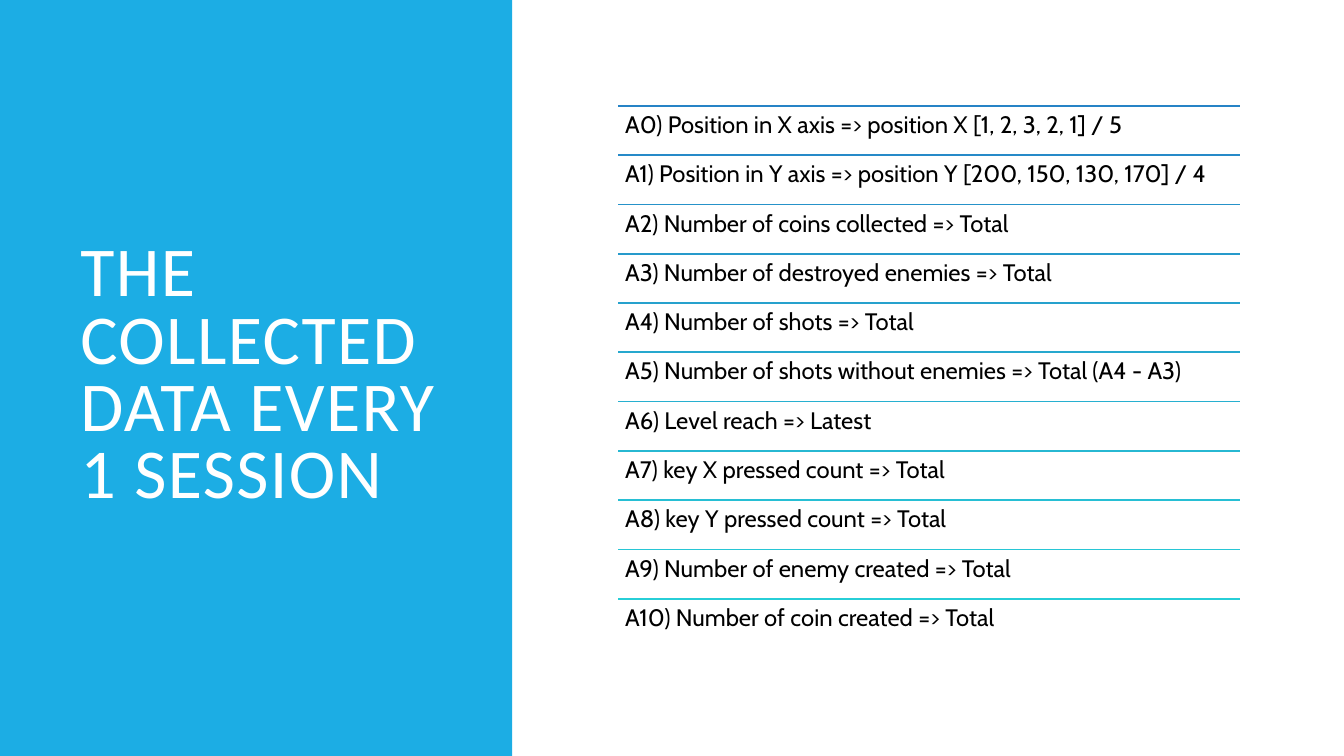
from dataclasses import dataclass

from lxml import etree
from pptx import Presentation
from pptx.dml.color import RGBColor
from pptx.enum.shapes import MSO_CONNECTOR, MSO_SHAPE
from pptx.enum.text import MSO_ANCHOR
from pptx.oxml.ns import qn
from pptx.util import Inches, Pt

RECT = MSO_SHAPE.RECTANGLE
STRAIGHT = MSO_CONNECTOR.STRAIGHT
TOP, MIDDLE = MSO_ANCHOR.TOP, MSO_ANCHOR.MIDDLE

TITLE = "THE COLLECTED DATA EVERY 1 SESSION"
METRICS = [
    "Position in X axis => position X [1, 2, 3, 2, 1] / 5",
    "Position in Y axis => position Y [200, 150, 130, 170] / 4",
    "Number of coins collected => Total",
    "Number of destroyed enemies => Total",
    "Number of shots => Total",
    "Number of shots without enemies => Total (A4 - A3)",
    "Level reach => Latest",
    "key X pressed count => Total",
    "key Y pressed count => Total",
    "Number of enemy created => Total",
    "Number of coin created => Total",
]


@dataclass(frozen=True)
class Theme:
    panel: str = "1CADE4"
    title: str = "FFFFFF"
    body: str = "000000"
    rule_first: tuple = (0x26, 0x83, 0xC6)
    rule_last: tuple = (0x27, 0xCE, 0xD7)
    title_font: str = "Calibri"
    body_font: str = "Cabin"
    title_size: int = 50
    body_size: int = 17
    rule_width: float = 1.25


THEME = Theme()
WIDTH, HEIGHT = 13.33, 7.5
PANEL_WIDTH = 5.08
TITLE_BOX = (0.7, 0.7, 3.74, 6.09)
LIST_LEFT, LIST_TOP, LIST_WIDTH, LIST_HEIGHT = 6.13, 1.05, 6.17, 5.38
ROW = LIST_HEIGHT / len(METRICS)


def add_text(s, box, text, font, size, color, anchor, inset, spacing):
    tf = s.shapes.add_textbox(*map(Inches, box)).text_frame
    tf.word_wrap = True
    tf.vertical_anchor = anchor
    tf.margin_left = tf.margin_right = Inches(inset[0])
    tf.margin_top = tf.margin_bottom = Inches(inset[1])
    p = tf.paragraphs[0]
    p.text = text
    p.line_spacing = spacing
    r = p.runs[0]
    r.font.name = font
    r.font.size = Pt(size)
    r.font.color.rgb = RGBColor.from_string(color)
    return r


def add_rule(s, y, share):
    line = s.shapes.add_connector(
        STRAIGHT, Inches(LIST_LEFT), Inches(y), Inches(LIST_LEFT + LIST_WIDTH), Inches(y)
    )
    ends = zip(THEME.rule_first, THEME.rule_last)
    line.line.color.rgb = RGBColor(*(round(a + (b - a) * share) for a, b in ends))
    line.line.width = Pt(THEME.rule_width)
    etree.SubElement(line._element.spPr, qn("a:effectLst"))


def main():
    prs = Presentation()
    prs.slide_width, prs.slide_height = Inches(WIDTH), Inches(HEIGHT)
    s = prs.slides.add_slide(prs.slide_layouts[6])

    panel = s.shapes.add_shape(RECT, 0, 0, Inches(PANEL_WIDTH), Inches(HEIGHT))
    panel.shadow.inherit = False
    panel.fill.solid()
    panel.fill.fore_color.rgb = RGBColor.from_string(THEME.panel)
    panel.line.fill.background()

    r = add_text(s, TITLE_BOX, TITLE, THEME.title_font, THEME.title_size,
                 THEME.title, MIDDLE, (0.1, 0.05), 0.8)
    r.font._element.set("spc", "100")

    for i, metric in enumerate(METRICS):
        y = LIST_TOP + i * ROW
        add_rule(s, y, i / (len(METRICS) - 1))
        add_text(s, (LIST_LEFT, y, LIST_WIDTH, ROW), f"A{i}) {metric}", THEME.body_font,
                 THEME.body_size, THEME.body, TOP, (0.07, 0.07), 0.9)

    prs.save("out.pptx")


if __name__ == "__main__":
    main()
